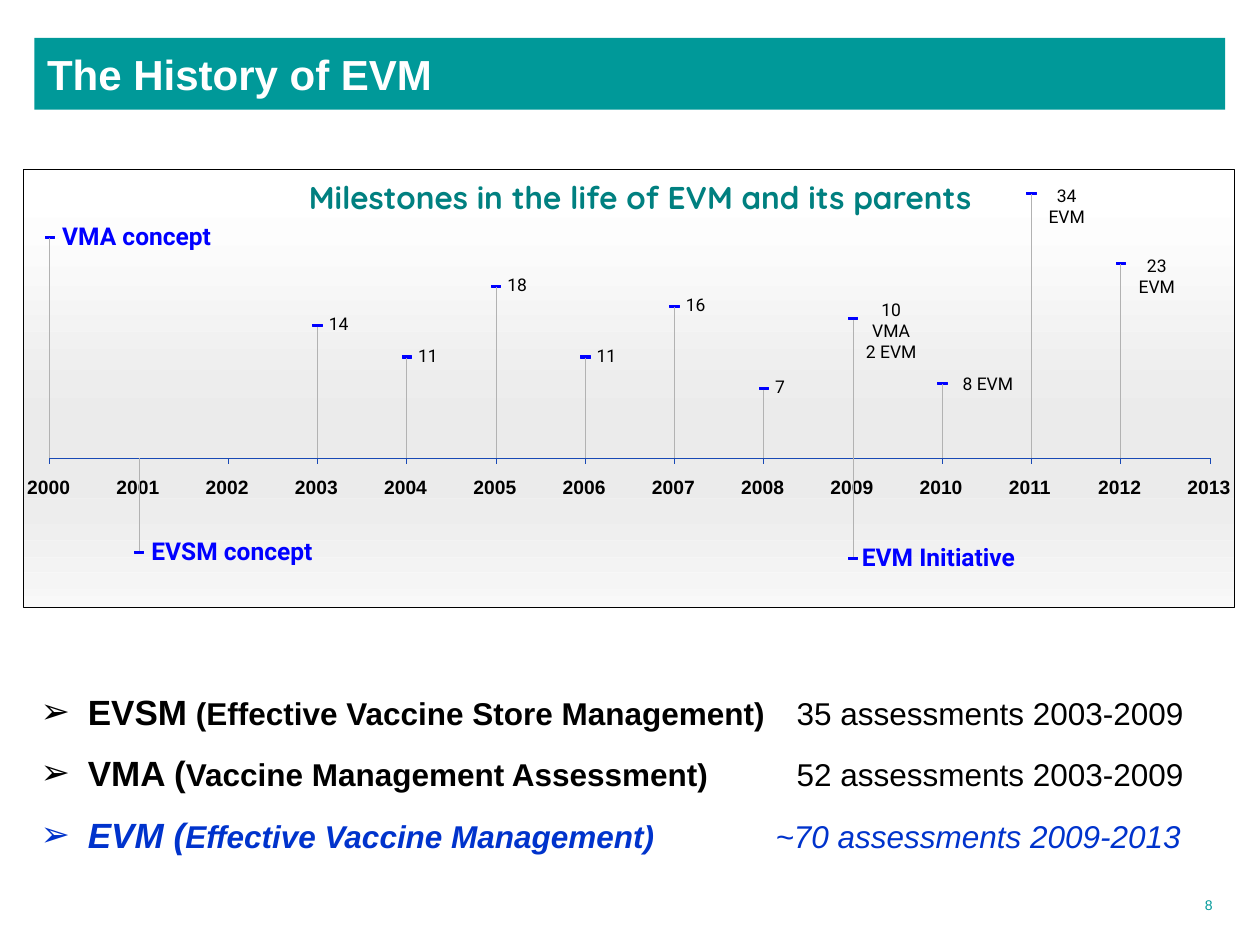
import dataclasses

import lxml.etree
import pptx
import pptx.dml.color
import pptx.enum.shapes
import pptx.enum.text
import pptx.oxml.ns
import pptx.util

Pt = pptx.util.Pt
Align = pptx.enum.text.PP_ALIGN
Anchor = pptx.enum.text.MSO_ANCHOR
Shape = pptx.enum.shapes.MSO_SHAPE
qn = pptx.oxml.ns.qn


@dataclasses.dataclass(frozen=True)
class Theme:
    teal: str = "009999"
    head: str = "008080"
    white: str = "FFFFFF"
    black: str = "000000"
    blue: str = "0000FF"
    accent: str = "0033CC"
    axis: str = "1849B5"
    stem: str = "B2B2B2"
    plain: str = "Arial"
    round: str = "Quicksand"
    label: str = "Roboto"
    title: int = 24
    lead: int = 20
    body: int = 18
    note: int = 14
    year: int = 11
    count: int = 10
    page: int = 8
    hair: float = 0.5


def tint(hue):
    return pptx.dml.color.RGBColor.from_string(hue)


class Board:
    def __init__(self, slide, theme):
        self.slide = slide
        self.theme = theme

    def place(self, shape, left, top, width, height):
        shape.left, shape.top = Pt(left), Pt(top)
        shape.width, shape.height = Pt(width), Pt(height)

    def run(self, para, text, size, hue, face=None, bold=False, slant=False):
        font_run = para.add_run()
        font_run.text = text
        font = font_run.font
        font.size, font.bold, font.italic = Pt(size), bold, slant
        font.name = face or self.theme.plain
        font.color.rgb = tint(hue)

    def title(self, text, *box):
        shape = self.slide.shapes.title
        self.place(shape, *box)
        shape.fill.solid()
        shape.fill.fore_color.rgb = tint(self.theme.teal)
        frame = shape.text_frame
        frame.auto_size = pptx.enum.text.MSO_AUTO_SIZE.NONE
        frame.vertical_anchor = Anchor.MIDDLE
        para = frame.paragraphs[0]
        para.alignment = Align.LEFT
        self.run(para, text, self.theme.title, self.theme.white, bold=True)

    def list(self, rows, *box):
        """Fill the body with rows of (lead, name, tally, tab stop, hue, slant)."""
        shape = self.slide.placeholders[1]
        self.place(shape, *box)
        frame = shape.text_frame
        frame.auto_size = pptx.enum.text.MSO_AUTO_SIZE.NONE
        for i, (lead, name, tally, stop, hue, slant) in enumerate(rows):
            para = frame.add_paragraph() if i else frame.paragraphs[0]
            para.space_before, para.space_after = Pt(0), Pt(11)
            self.bullet(para, stop)
            self.run(para, lead, self.theme.lead, hue, bold=True, slant=slant)
            self.run(para, name, self.theme.body, hue, bold=True, slant=slant)
            self.run(para, " \t" + tally, self.theme.body, hue, slant=slant)

    def bullet(self, para, stop):
        props = para._p.get_or_add_pPr()
        props.set("marL", str(Pt(27)))
        props.set("indent", str(-Pt(27)))
        lxml.etree.SubElement(props, qn("a:buChar"), char="➢")
        tabs = lxml.etree.SubElement(props, qn("a:tabLst"))
        lxml.etree.SubElement(tabs, qn("a:tab"), pos=str(Pt(stop)), algn="l")

    def rect(self, left, top, width, height, fill=None, line=None):
        shape = self.slide.shapes.add_shape(
            Shape.RECTANGLE, Pt(left), Pt(top), Pt(width), Pt(height))
        shape.shadow.inherit = False
        if fill:
            shape.fill.solid()
            shape.fill.fore_color.rgb = tint(fill)
        else:
            shape.fill.background()
        if line:
            shape.line.color.rgb = tint(line)
            shape.line.width = Pt(self.theme.hair)
        else:
            shape.line.fill.background()
        return shape

    def line(self, x1, y1, x2, y2, hue):
        link = self.slide.shapes.add_connector(
            pptx.enum.shapes.MSO_CONNECTOR.STRAIGHT, Pt(x1), Pt(y1), Pt(x2), Pt(y2))
        link.line.color.rgb = tint(hue)
        link.line.width = Pt(self.theme.hair)
        lxml.etree.SubElement(link._element.spPr, qn("a:effectLst"))
        return link

    def text(self, lines, left, top, width, height, size, hue, face=None,
             bold=False, align=Align.LEFT, wrap=False, inset=0):
        box = self.slide.shapes.add_textbox(Pt(left), Pt(top), Pt(width), Pt(height))
        frame = box.text_frame
        frame.word_wrap = wrap
        frame.margin_left = frame.margin_right = Pt(inset)
        frame.margin_top = frame.margin_bottom = Pt(inset / 2)
        for i, words in enumerate(lines):
            para = frame.add_paragraph() if i else frame.paragraphs[0]
            para.alignment = align
            self.run(para, words, size, hue, face, bold)

    def mark(self, x, y, base):
        """Draw a dash at y, with a stem that joins it to the axis."""
        dash = self.rect(x - 2.7, y - 0.6, 5.4, 1.2, self.theme.blue, self.theme.blue)
        stem = self.line(x, y, x, base, self.theme.stem)
        stem.begin_connect(dash, 2 if y < base else 0)


def chart(board):
    theme = board.theme
    left, width, base = 13.7, 692, 262
    edges = [97, 124.5, 140.5, 152.5, 163.5, 172, 180, 189.5, 199.5, 211.5,
             227.5, 285, 299.5, 309, 318.5, 327, 337, 340.5, 347]
    for i, (top, end) in enumerate(zip(edges, edges[1:])):
        grey = 235 + 2 * abs(i - 10)
        board.rect(left, top, width, end - top, f"{grey:02X}" * 3)
    board.rect(left, edges[0], width, edges[-1] - edges[0], line=theme.black)

    first, last, start, gap = 2000, 2013, 28.5, 51

    def spot(year):
        return start + (year - first) * gap

    board.line(spot(first), base, spot(last), base, theme.axis)
    for year in range(first, last + 1):
        x = spot(year)
        board.line(x, base + 3, x, base, theme.axis)
        board.text([str(year)], x - 13, 271.5, 32, 16.5, theme.year, theme.black, bold=True)

    board.text(["Milestones in the life of EVM and its parents"],
               176.5, 101.5, 380, 21.6, theme.body, theme.head, theme.round, True)

    for year, y, words, shift in [(2000, 135.5, "VMA concept", 7),
                                  (2001, 315.5, "EVSM concept", 7),
                                  (2009, 319, "EVM Initiative", 5)]:
        board.mark(spot(year), y, base)
        board.text([words], spot(year) + shift, y - 9, 107, 19.5,
                   theme.note, theme.blue, theme.label, True)

    for year, y, count in [(2003, 186, 14), (2004, 204, 11), (2005, 163.5, 18),
                           (2006, 204, 11), (2007, 175, 16), (2008, 222, 7)]:
        board.mark(spot(year), y, base)
        board.text([str(count)], spot(year) + 6.5, y - 7, 16.5, 15,
                   theme.count, theme.black, theme.label)

    for year, y, lines, shift, rise, wide in [
            (2009, 182, ["10 VMA", "2 EVM"], 6.5, 11, 30.5),
            (2010, 219, ["8 EVM"], 10, 6, 32),
            (2011, 110.5, ["34 EVM"], 8.5, 5, 23),
            (2012, 150.5, ["23 EVM"], 9, 5, 23)]:
        board.mark(spot(year), y, base)
        board.text(lines, spot(year) + shift, y - rise, wide, 12 * len(lines),
                   theme.count, theme.black, theme.label, align=Align.CENTER, wrap=True)


def main():
    deck = pptx.Presentation()
    deck.slide_width, deck.slide_height = Pt(720), Pt(540)
    theme = Theme()
    board = Board(deck.slides.add_slide(deck.slide_layouts[1]), theme)
    board.title("The History of EVM", 19.7, 21.7, 680.4, 41)
    board.list([
        ("EVSM", " (Effective Vaccine Store Management)",
         "35 assessments 2003-2009", 432, theme.black, False),
        ("VMA (", "Vaccine Management Assessment)",
         "52 assessments 2003-2009", 432, theme.black, False),
        ("EVM (", "Effective Vaccine Management)",
         "~70 assessments 2009-2013", 420, theme.accent, True),
    ], 16, 391, 696, 104.5)
    chart(board)
    board.text(["8"], 516, 508.5, 184, 21, theme.page, theme.teal,
               align=Align.RIGHT, wrap=True, inset=7.2)
    deck.save("out.pptx")


if __name__ == "__main__":
    main()
